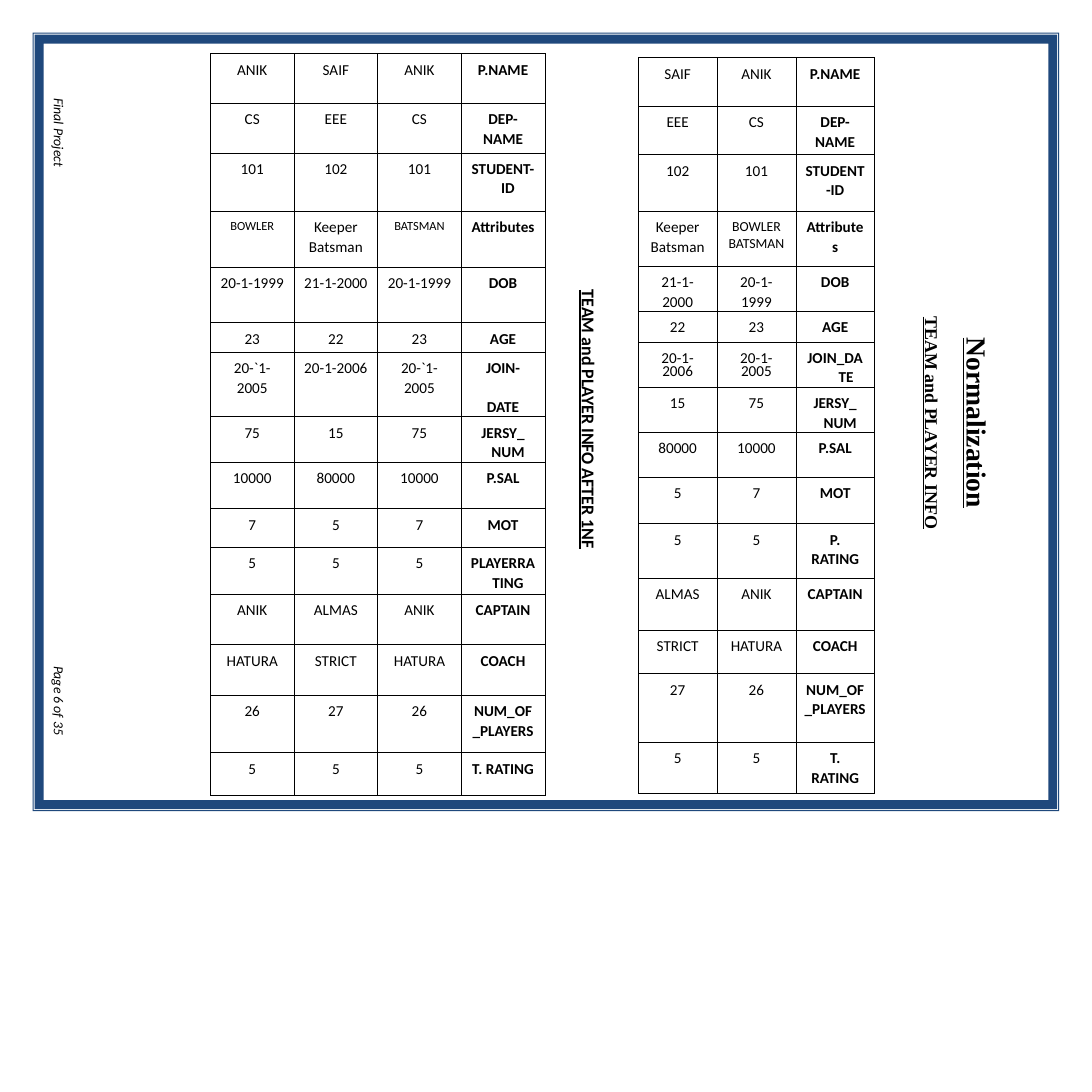
from lxml.etree import SubElement
from pptx import Presentation
from pptx.dml.color import RGBColor
from pptx.enum.shapes import MSO_SHAPE
from pptx.enum.text import PP_ALIGN
from pptx.oxml.ns import qn
from pptx.util import Inches, Pt

BLACK = RGBColor(0x00, 0x00, 0x00)
NAVY = RGBColor(0x1F, 0x48, 0x7C)

PLAYER_INFO = [
    ("SAIF", "ANIK", "P.NAME"),
    ("EEE", "CS", "DEP-\nNAME"),
    ("102", "101", "STUDENT\n-ID"),
    ("Keeper\nBatsman", "BOWLER\nBATSMAN", "Attribute\ns"),
    ("21-1-\n2000", "20-1-\n1999", "DOB"),
    ("22", "23", "AGE"),
    ("20-1-\n2006", "20-1-\n2005", "JOIN_DA\nTE"),
    ("15", "75", "JERSY_\nNUM"),
    ("80000", "10000", "P.SAL"),
    ("5", "7", "MOT"),
    ("5", "5", "P.\nRATING"),
    ("ALMAS", "ANIK", "CAPTAIN"),
    ("STRICT", "HATURA", "COACH"),
    ("27", "26", "NUM_OF\n_PLAYERS"),
    ("5", "5", "T.\nRATING"),
]
PLAYER_INFO_1NF = [
    ("ANIK", "SAIF", "ANIK", "P.NAME"),
    ("CS", "EEE", "CS", "DEP-\nNAME"),
    ("101", "102", "101", "STUDENT-\nID"),
    ("BOWLER", "Keeper\nBatsman", "BATSMAN", "Attributes"),
    ("20-1-1999", "21-1-2000", "20-1-1999", "DOB"),
    ("23", "22", "23", "AGE"),
    ("20-`1-\n2005", "20-1-2006", "20-`1-\n2005", "JOIN-\nDATE"),
    ("75", "15", "75", "JERSY_\nNUM"),
    ("10000", "80000", "10000", "P.SAL"),
    ("7", "5", "7", "MOT"),
    ("5", "5", "5", "PLAYERRA\nTING"),
    ("ANIK", "ALMAS", "ANIK", "CAPTAIN"),
    ("HATURA", "STRICT", "HATURA", "COACH"),
    ("26", "27", "26", "NUM_OF\n_PLAYERS"),
    ("5", "5", "5", "T. RATING"),
]
TABLES = [
    (6.43, 0.58, 2.38, PLAYER_INFO,
     [0.49, 0.49, 0.57, 0.55, 0.45, 0.31, 0.45, 0.45,
      0.45, 0.47, 0.55, 0.52, 0.44, 0.69, 0.52]),
    (2.12, 0.54, 3.37, PLAYER_INFO_1NF,
     [0.5, 0.5, 0.59, 0.56, 0.56, 0.3, 0.64, 0.45,
      0.47, 0.39, 0.47, 0.51, 0.51, 0.58, 0.43]),
]
CELL_SIZES = {"BOWLER": 9, "BATSMAN": 9, "BOWLER\nBATSMAN": 10}
LAST_LINE_FORMATS = {
    "20-1-\n2006": {"line_spacing": Pt(9.2)},
    "20-1-\n2005": {"line_spacing": Pt(9.2)},
    "JOIN-\nDATE": {"space_before": Pt(14.5)},
}
LAST_LINE_INDENTS = {
    "JOIN_DA\nTE": 0.22,
    "JERSY_\nNUM": 0.1,
    "STUDENT-\nID": 0.1,
    "PLAYERRA\nTING": 0.1,
}

FOOTER = {"name": "Calibri", "size": Pt(10), "italic": True}
TITLE = {"name": "Times New Roman", "size": Pt(20), "bold": True, "underline": True}
SUBTITLE = {**TITLE, "size": Pt(13)}
HEADING = {**SUBTITLE, "name": "Calibri"}
LEFT, CENTER = PP_ALIGN.LEFT, PP_ALIGN.CENTER
VERTICAL_TEXTS = [
    (0.49, 0.99, 0.17, 0.9, [
        ("Final Project", FOOTER, {"alignment": LEFT, "line_spacing": Pt(10.4)})]),
    (0.49, 6.71, 0.17, 0.9, [
        ("Page 6 of 35", FOOTER, {"alignment": LEFT, "line_spacing": Pt(10.4)})]),
    (9.27, 3.06, 0.73, 2.4, [
        ("Normalization", TITLE, {"alignment": CENTER, "line_spacing": Pt(22.9)}),
        ("TEAM and PLAYER INFO", SUBTITLE,
         {"alignment": CENTER, "space_before": Pt(13)})]),
    (5.8, 2.92, 0.21, 2.9, [
        ("TEAM and PLAYER INFO AFTER 1NF", HEADING,
         {"alignment": LEFT, "line_spacing": Pt(13.3)})]),
]
FRAMES = [(0.35, 0.09), (0.33, 0.01)]
FRAME_RIGHT, FRAME_BOTTOM = 11, 8.5


def apply(obj, values):
    for name, value in values.items():
        setattr(obj, name, value)


def add_line(p, text, font, layout):
    apply(p, layout)
    r = p.add_run()
    r.text = text
    apply(r.font, font)
    r.font.color.rgb = BLACK


def paragraph(tf, i):
    return tf.add_paragraph() if i else tf.paragraphs[0]


def add_vertical_text(s, left, top, width, height, lines):
    sp = s.shapes.add_textbox(Inches(left), Inches(top), Inches(width), Inches(height))
    tf = sp.text_frame
    apply(tf, {"word_wrap": True, "margin_left": 0, "margin_right": 0,
               "margin_top": 0, "margin_bottom": 0})
    tf._txBody.bodyPr.set("vert", "vert")
    for i, line in enumerate(lines):
        add_line(paragraph(tf, i), *line)


def fill_cell(cell, text, bold):
    apply(cell, {"margin_left": 0, "margin_right": 0,
                 "margin_top": Inches(0.07), "margin_bottom": 0})
    tcPr = cell._tc.get_or_add_tcPr()
    for side in ("lnL", "lnR", "lnT", "lnB"):
        ln = SubElement(tcPr, qn("a:" + side), w=str(Pt(0.5)))
        fill = SubElement(ln, qn("a:solidFill"))
        SubElement(fill, qn("a:srgbClr"), val=str(BLACK))
    cell.fill.background()
    font = {"name": "Calibri", "size": Pt(CELL_SIZES.get(text, 11)), "bold": bold}
    lines = text.split("\n")
    for i, line in enumerate(lines):
        p = paragraph(cell.text_frame, i)
        layout = {"alignment": CENTER, "space_before": Pt(0.6 if i else 0)}
        if i == len(lines) - 1:
            layout.update(LAST_LINE_FORMATS.get(text, {}))
            if text in LAST_LINE_INDENTS:
                p._p.get_or_add_pPr().set("marL", str(Inches(LAST_LINE_INDENTS[text])))
        add_line(p, line, font, layout)


def add_info_table(s, left, top, width, rows, heights):
    cols = len(rows[0])
    table = s.shapes.add_table(len(rows), cols, Inches(left), Inches(top),
                               Inches(width), Inches(sum(heights))).table
    apply(table, {"first_row": False, "horz_banding": False})
    for column in table.columns:
        column.width = Inches(width / cols)
    for i, row in enumerate(rows):
        table.rows[i].height = Inches(heights[i])
        for j, text in enumerate(row):
            fill_cell(table.cell(i, j), text, j == cols - 1)


def add_frame(s, inset, thickness):
    width, height = FRAME_RIGHT - 2 * inset, FRAME_BOTTOM - 2 * inset
    sp = s.shapes.add_shape(MSO_SHAPE.FRAME, Inches(inset), Inches(inset),
                            Inches(width), Inches(height))
    sp.adjustments[0] = thickness / height
    sp.shadow.inherit = False
    sp.fill.solid()
    sp.fill.fore_color.rgb = NAVY
    sp.line.fill.background()


def main():
    prs = Presentation()
    prs.slide_width = prs.slide_height = Inches(11)
    s = prs.slides.add_slide(prs.slide_layouts[6])
    for item in VERTICAL_TEXTS:
        add_vertical_text(s, *item)
    for item in TABLES:
        add_info_table(s, *item)
    for item in FRAMES:
        add_frame(s, *item)
    prs.save("out.pptx")


if __name__ == "__main__":
    main()
